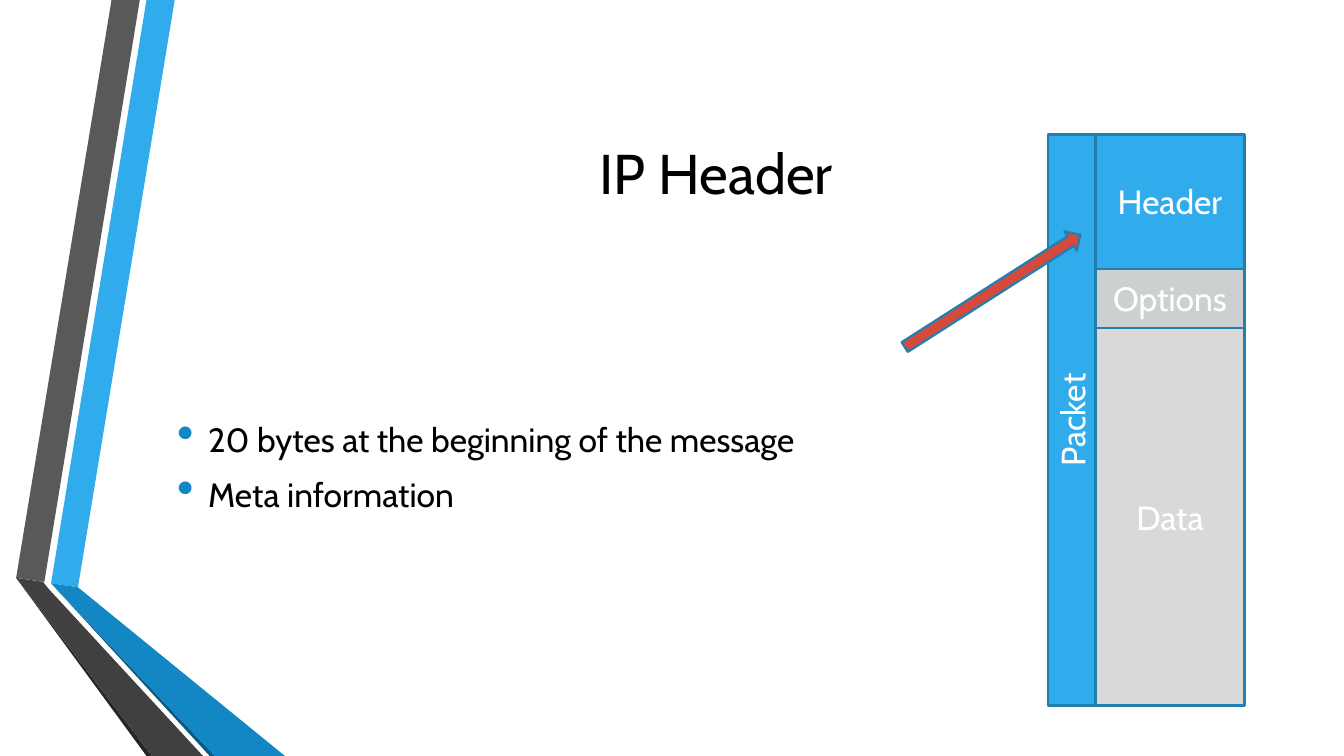
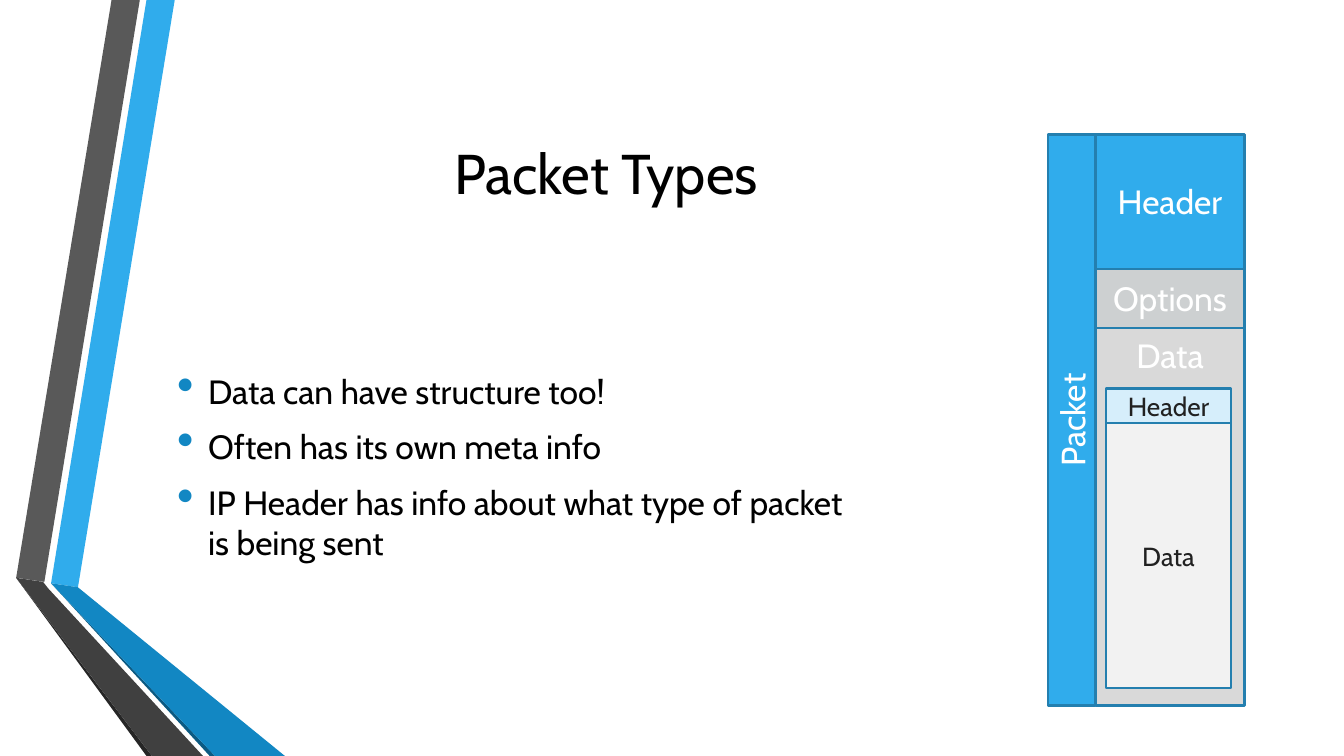
import dataclasses

import pptx
import pptx.dml.color
import pptx.enum.shapes
import pptx.enum.text
import pptx.oxml.ns
import pptx.util
from lxml import etree

Inches = pptx.util.Inches
Pt = pptx.util.Pt
Kind = pptx.enum.shapes.MSO_SHAPE
Anchor = pptx.enum.text.MSO_ANCHOR
Align = pptx.enum.text.PP_ALIGN


@dataclasses.dataclass(frozen=True)
class Theme:
    font: str = "Cabin"
    title: int = 30
    body: int = 18
    small: int = 14
    ink: str = "000000"
    white: str = "FFFFFF"
    dark: str = "212121"
    blue: str = "30ACEC"
    deep: str = "1287C3"
    navy: str = "0C5A82"
    edge: str = "247FAF"
    red: str = "D64A3B"
    pale: str = "D6EEFB"
    mist: str = "F2F2F2"
    silver: str = "CDD0D1"
    grey: str = "D9D9D9"
    slate: str = "595959"
    coal: str = "404040"
    soot: str = "262626"


T = Theme()
WIDE, HIGH = 10, 5.625
LEFT = 1.22     # left edge of title and bullets
STACK = 8.15    # left edge of the packet's parts
TOP = 1         # top of the packet
PART = 1.11     # width of each part
ROWS = (("Header", 1, T.blue), ("Options", 0.44, T.silver),
        ("Data", 2.81, T.grey))

FOOT = HIGH
BANDS = (
    (T.blue, ((0.38, 4.34), (0.58, 4.37), (1.3, 0), (1.09, 0))),
    (T.slate, ((1.04, 0), (0.83, 0), (0.12, 4.3), (0.33, 4.33))),
    (T.soot, ((0.12, 4.3), (1.09, FOOT), (1.13, FOOT))),
    (T.navy, ((0.38, 4.34), (1.56, FOOT), (1.6, FOOT))),
    (T.deep, ((0.38, 4.34), (1.6, FOOT), (2.12, FOOT), (0.58, 4.37))),
    (T.coal, ((1.51, FOOT), (0.36, 4.38), (0.32, 4.33), (0.12, 4.3),
              (1.13, FOOT))),
)


def color(code):
    return pptx.dml.color.RGBColor.from_string(code)


def paint(shape, fill, line=None):
    shape.shadow.inherit = False
    shape.fill.solid()
    shape.fill.fore_color.rgb = color(fill)
    if line:
        shape.line.color.rgb = color(line)
        shape.line.width = Pt(1.25)
    else:
        shape.line.fill.background()


def write(para, text, size, ink):
    run = para.add_run()
    run.text = text
    run.font.name = T.font
    run.font.size = Pt(size)
    run.font.color.rgb = color(ink)


def bands(slide):
    """Draw the folded ribbons on the left."""
    group = slide.shapes.add_group_shape()
    for fill, dots in BANDS:
        first, *rest = [(Inches(x), Inches(y)) for x, y in dots]
        pen = group.shapes.build_freeform(*first)
        pen.add_line_segments(rest, close=True)
        paint(pen.convert_to_shape(), fill)


def frame(slide, top, width, height):
    box = slide.shapes.add_textbox(
        Inches(LEFT), Inches(top), Inches(width), Inches(height))
    text = box.text_frame
    text.word_wrap = True
    text.vertical_anchor = Anchor.MIDDLE
    return text


def title(slide, text, width):
    para = frame(slide, 0.56, width, 1.44).paragraphs[0]
    para.alignment = Align.CENTER
    write(para, text, T.title, T.ink)


def dot(para):
    """Give a paragraph a round bullet with a hanging indent."""
    props = para._p.get_or_add_pPr()
    props.set("marL", str(Inches(0.23)))
    props.set("indent", str(-Inches(0.23)))
    qn = pptx.oxml.ns.qn
    tint = etree.SubElement(props, qn("a:buClr"))
    etree.SubElement(tint, qn("a:srgbClr"), val=T.deep)
    etree.SubElement(props, qn("a:buSzPct"), val="145000")
    etree.SubElement(props, qn("a:buChar"), char="•")


def bullets(slide, lines, width):
    text = frame(slide, 2.19, width, 2.56)
    for i, line in enumerate(lines):
        para = text.add_paragraph() if i else text.paragraphs[0]
        para.space_before = Pt(0.2 * T.body)
        para.space_after = Pt(4.5)
        dot(para)
        write(para, line, T.body, T.ink)


def block(slide, text, left, top, width, height, fill,
          size=T.body, ink=T.white, anchor=Anchor.MIDDLE):
    shape = slide.shapes.add_shape(
        Kind.RECTANGLE, Inches(left), Inches(top),
        Inches(width), Inches(height))
    paint(shape, fill, T.edge)
    shape.text_frame.word_wrap = True
    shape.text_frame.vertical_anchor = anchor
    para = shape.text_frame.paragraphs[0]
    para.alignment = Align.CENTER
    write(para, text, size, ink)
    return shape


def packet(slide, anchor=Anchor.MIDDLE):
    """Stack the parts beside a tall, turned label; anchor places "Data"."""
    top = TOP
    for name, height, fill in ROWS:
        place = anchor if name == "Data" else Anchor.MIDDLE
        block(slide, name, STACK, top, PART, height, fill, anchor=place)
        top += height
    tall, thick = top - TOP, 0.35
    label = block(slide, "Packet", STACK - (thick + tall) / 2,
                  TOP + (tall - thick) / 2, tall, thick, T.blue)
    label.rotation = 270


def inner(slide):
    """Draw the packet nested in the data part."""
    left, top, width, head = 8.23, 2.89, 0.93, 0.26
    block(slide, "Header", left, top, width, head, T.pale, T.small, T.dark)
    block(slide, "Data", left, top + head, width, 1.97, T.mist,
          T.small, T.dark)


def arrow(slide):
    shape = slide.shapes.add_shape(
        Kind.RIGHT_ARROW, Inches(6.61), Inches(2.08),
        Inches(1.55), Inches(0.17))
    shape.rotation = 327.4
    paint(shape, T.red, T.edge)


def start(deck):
    slide = deck.slides.add_slide(deck.slide_layouts[6])
    slide.background.fill.solid()
    slide.background.fill.fore_color.rgb = color(T.white)
    bands(slide)
    return slide


def main():
    deck = pptx.Presentation()
    deck.slide_width, deck.slide_height = Inches(WIDE), Inches(HIGH)

    slide = start(deck)
    title(slide, "IP Header", 8.22)
    bullets(slide, ("20 bytes at the beginning of the message",
                    "Meta information"), 8.22)
    packet(slide)
    arrow(slide)

    slide = start(deck)
    title(slide, "Packet Types", 6.58)
    bullets(slide, ("Data can have structure too!",
                    "Often has its own meta info",
                    "IP Header has info about what type of packet "
                    "is being sent"), 5.22)
    packet(slide, Anchor.TOP)
    inner(slide)

    deck.save("out.pptx")


if __name__ == "__main__":
    main()
